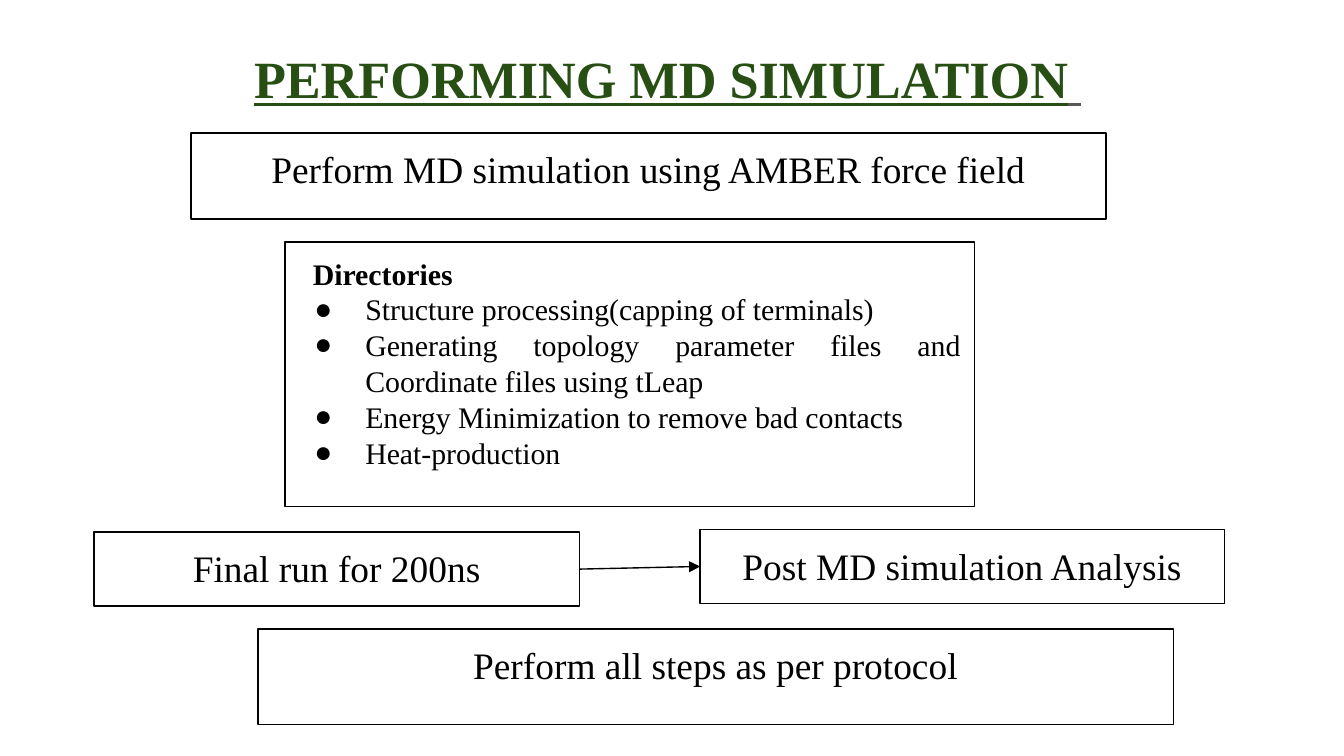
from dataclasses import dataclass

from lxml import etree
from pptx import Presentation
from pptx.dml.color import RGBColor
from pptx.enum.shapes import MSO_CONNECTOR, MSO_SHAPE
from pptx.enum.text import MSO_ANCHOR, MSO_AUTO_SIZE, PP_ALIGN
from pptx.oxml.ns import qn
from pptx.util import Inches, Pt

RECT = MSO_SHAPE.RECTANGLE
STRAIGHT = MSO_CONNECTOR.STRAIGHT
TOP = MSO_ANCHOR.TOP
NO_FIT = MSO_AUTO_SIZE.NONE
LEFT, CENTER, JUSTIFY = PP_ALIGN.LEFT, PP_ALIGN.CENTER, PP_ALIGN.JUSTIFY


@dataclass(frozen=True)
class Theme:
    font: str = "Times New Roman"
    green: RGBColor = RGBColor(0x27, 0x4E, 0x13)
    gray: RGBColor = RGBColor(0x59, 0x59, 0x59)
    black: RGBColor = RGBColor(0, 0, 0)
    ink: RGBColor = RGBColor(3, 3, 3)
    head: Pt = Pt(28)
    step: Pt = Pt(20)
    body: Pt = Pt(16)
    rule: Pt = Pt(0.75)


theme = Theme()


def style(para, size, color, align, bold=False):
    para.alignment = align
    font = para.font
    font.name, font.size, font.bold = theme.font, size, bold
    font.color.rgb = color


def add_box(left, top, width, height, line):
    box = slide.shapes.add_shape(
        RECT, Inches(left), Inches(top), Inches(width), Inches(height))
    box.shadow.inherit = False
    box.fill.background()
    box.line.color.rgb = line
    box.line.width = theme.rule
    frame = box.text_frame
    frame.word_wrap = True
    frame.vertical_anchor = TOP
    frame.margin_left = frame.margin_right = Inches(0.1)
    frame.margin_top = frame.margin_bottom = Inches(0.1)
    return box


deck = Presentation()
deck.slide_width = Inches(10)
deck.slide_height = deck.slide_width * 9 // 16
slide = deck.slides.add_slide(deck.slide_layouts[5])

title = slide.shapes.title
title.left, title.top = Inches(0.34), Inches(0.27)
title.width, title.height = Inches(9.32), Inches(0.64)
frame = title.text_frame
frame.auto_size = NO_FIT
frame.word_wrap = True
frame.vertical_anchor = TOP
frame.margin_left, frame.margin_right = Inches(1.55), Inches(0.1)
frame.margin_top, frame.margin_bottom = Inches(0.13), Inches(0.1)
para = frame.paragraphs[0]
para.line_spacing = 0.9
style(para, theme.head, theme.green, LEFT, True)
para.font.underline = True
para.add_run().text = "PERFORMING MD SIMULATION"
tail = para.add_run()
tail.text = " "
tail.font.color.rgb = theme.gray

steps = [
    ("Perform MD simulation using AMBER force field",
     1.42, 0.99, 6.81, 0.64, theme.black, theme.black),
    ("Perform all steps as per protocol",
     1.92, 4.68, 6.81, 0.71, theme.ink, theme.black),
    ("Final run for 200ns",
     0.7, 3.96, 3.61, 0.55, theme.ink, theme.black),
    ("Post MD simulation Analysis",
     5.21, 3.94, 3.9, 0.55, theme.ink, theme.ink),
]
boxes = []
for text, left, top, width, height, line, color in steps:
    box = add_box(left, top, width, height, line)
    para = box.text_frame.paragraphs[0]
    para.text = text
    style(para, theme.step, color, CENTER)
    boxes.append(box)
final, post = boxes[2:]

tasks = [
    "Structure processing(capping of terminals)",
    "Generating topology parameter files and Coordinate files using tLeap",
    "Energy Minimization to remove bad contacts",
    "Heat-production",
]
frame = add_box(2.12, 1.8, 5.13, 1.97, theme.black).text_frame
para = frame.paragraphs[0]
para.text = "Directories"
para._p.get_or_add_pPr().set("marL", str(Inches(0.11)))
style(para, theme.body, theme.black, JUSTIFY, True)
for task in tasks:
    para = frame.add_paragraph()
    para.text = task
    props = para._p.get_or_add_pPr()
    props.set("marL", str(Inches(0.5)))
    props.set("indent", str(Inches(-0.38)))
    tint = etree.SubElement(props, qn("a:buClr"))
    etree.SubElement(tint, qn("a:srgbClr")).set("val", str(theme.black))
    etree.SubElement(props, qn("a:buFont")).set("typeface", theme.font)
    etree.SubElement(props, qn("a:buChar")).set("char", "●")
    style(para, theme.body, theme.black, JUSTIFY)

arrow = slide.shapes.add_connector(
    STRAIGHT, Inches(4.31), Inches(4.24), Inches(5.21), Inches(4.22))
arrow.begin_connect(final, 3)
arrow.end_connect(post, 1)
arrow.line.color.rgb = theme.black
arrow.line.width = theme.rule
etree.SubElement(arrow.line._get_or_add_ln(), qn("a:tailEnd")).set("type", "triangle")
etree.SubElement(arrow._element.spPr, qn("a:effectLst"))

deck.save("out.pptx")
